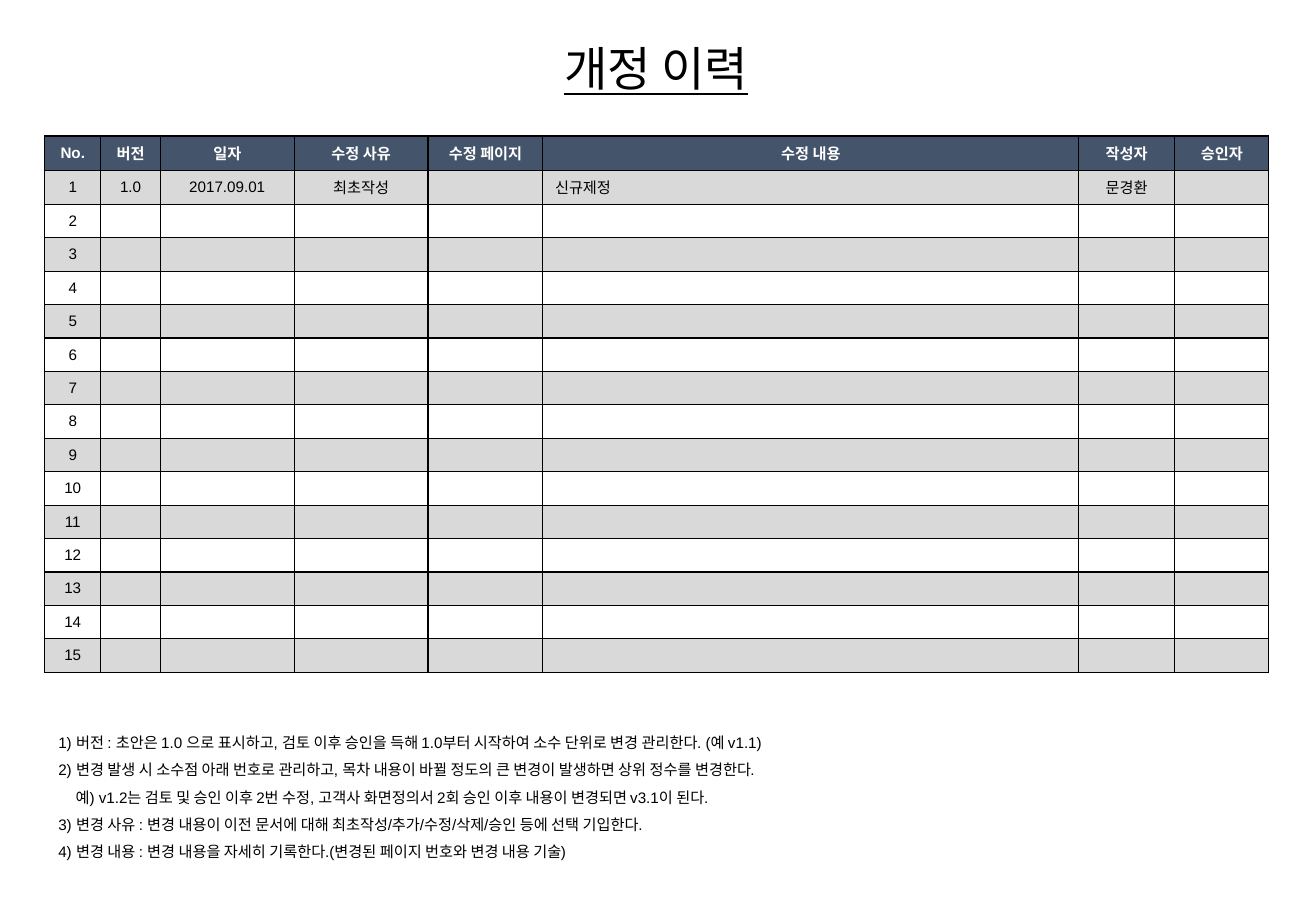
from lxml import etree
from pptx import Presentation
from pptx.dml.color import RGBColor
from pptx.enum.text import MSO_ANCHOR, MSO_AUTO_SIZE, PP_ALIGN
from pptx.oxml.ns import qn
from pptx.util import Cm, Pt

CENTER, LEFT = PP_ALIGN.CENTER, PP_ALIGN.LEFT
MIDDLE, TOP = MSO_ANCHOR.MIDDLE, MSO_ANCHOR.TOP
GROW = MSO_AUTO_SIZE.SHAPE_TO_FIT_TEXT

TITLE = "개정 이력"
COLUMNS = [
    ("No.", 1.18), ("버전", 1.24), ("일자", 2.8), ("수정 사유", 2.8),
    ("수정 페이지", 2.4), ("수정 내용", 11.2), ("작성자", 2.01), ("승인자", 1.97),
]
REVISIONS = [("1.0", "2017.09.01", "최초작성", "", "신규제정", "문경환", "")]
REVISION_ROWS = 15
CONTENT_COLUMN = 5
NOTES = [
    ("1) 버전 : 초안은 1.0 으로 표시하고, 검토 이후 승인을 득해 1.0부터 시작하여 소수 단위로 변경 관리한다. (예 v1.1)", 0),
    ("2) 변경 발생 시 소수점 아래 번호로 관리하고, 목차 내용이 바뀔 정도의 큰 변경이 발생하면 상위 정수를 변경한다.", 0),
    ("예) v1.2는 검토 및 승인 이후 2번 수정, 고객사 화면정의서 2회 승인 이후 내용이 변경되면 v3.1이 된다.", 0.36),
    ("3) 변경 사유 : 변경 내용이 이전 문서에 대해 최초작성/추가/수정/삭제/승인 등에 선택 기입한다.", 0),
    ("4) 변경 내용 : 변경 내용을 자세히 기록한다.(변경된 페이지 번호와 변경 내용 기술)", 0),
]
COLORS = {"text": "000000", "header": "44546A", "band": "D9D9D9", "plain": "FFFFFF"}
LATIN, KOREAN = "Arial", "Noto Sans CJK KR"
BODY_SIZE = 9
HEADER_HEIGHT, ROW_HEIGHT = 0.64, 0.7


def rgb(name):
    return RGBColor.from_string(COLORS[name])


def add_text(paragraph, text, size=BODY_SIZE, color="text", latin=LATIN, bold=False):
    run = paragraph.add_run()
    run.text = text
    run.font.size = Pt(size)
    run.font.name = latin
    run.font.bold = bold
    run.font.color.rgb = rgb(color)
    east_asian = etree.Element(qn("a:ea"), typeface=KOREAN)
    run.font._element.find(qn("a:latin")).addnext(east_asian)
    return run


def add_borders(cell, top_width):
    properties = cell._tc.get_or_add_tcPr()
    for side, width in (("L", 0.75), ("R", 0.75), ("T", top_width), ("B", 0.75)):
        line = etree.SubElement(properties, qn(f"a:ln{side}"), w=str(Pt(width)))
        fill = etree.SubElement(line, qn("a:solidFill"))
        etree.SubElement(fill, qn("a:srgbClr"), val=COLORS["text"])


def fill_cell(cell, text, fill, alignment=CENTER, header=False):
    add_borders(cell, 1 if header else 0.75)
    cell.fill.solid()
    cell.fill.fore_color.rgb = rgb(fill)
    cell.vertical_anchor = MIDDLE
    paragraph = cell.text_frame.paragraphs[0]
    paragraph.alignment = alignment
    if text:
        add_text(paragraph, text, color="plain" if header else "text", bold=header)
    else:
        etree.SubElement(paragraph._p, qn("a:endParaRPr"), sz=str(BODY_SIZE * 100))


def add_title(slide):
    box = slide.shapes.add_textbox(Cm(4.55), Cm(0.91), Cm(18.34), Cm(1.22))
    frame = box.text_frame
    frame.word_wrap = True
    frame.auto_size = GROW
    frame.vertical_anchor = TOP
    frame.margin_left = frame.margin_right = Cm(0.18)
    frame.margin_top = frame.margin_bottom = Cm(0.1)
    paragraph = frame.paragraphs[0]
    paragraph.alignment = CENTER
    paragraph.line_spacing = 0.85
    add_text(paragraph, TITLE, 28, latin=KOREAN).font.underline = True


def add_history(slide):
    width = sum(column_width for _, column_width in COLUMNS)
    height = HEADER_HEIGHT + REVISION_ROWS * ROW_HEIGHT
    table = slide.shapes.add_table(
        REVISION_ROWS + 1, len(COLUMNS), Cm(0.93), Cm(2.84), Cm(width), Cm(height)
    ).table
    table.first_row = table.horz_banding = False
    table.rows[0].height = Cm(HEADER_HEIGHT)
    for index, (heading, column_width) in enumerate(COLUMNS):
        table.columns[index].width = Cm(column_width)
        fill_cell(table.cell(0, index), heading, "header", header=True)
    for number in range(1, REVISION_ROWS + 1):
        table.rows[number].height = Cm(ROW_HEIGHT)
        recorded = number <= len(REVISIONS)
        details = REVISIONS[number - 1] if recorded else ("",) * (len(COLUMNS) - 1)
        fill = "band" if number % 2 else "plain"
        for index, text in enumerate((str(number), *details)):
            alignment = LEFT if index == CONTENT_COLUMN else CENTER
            fill_cell(table.cell(number, index), text, fill, alignment)


def add_notes(slide):
    box = slide.shapes.add_textbox(Cm(0.97), Cm(14.78), Cm(25.6), Cm(3.58))
    frame = box.text_frame
    frame.word_wrap = False
    frame.vertical_anchor = MIDDLE
    for index, (text, indent) in enumerate(NOTES):
        paragraph = frame.add_paragraph() if index else frame.paragraphs[0]
        paragraph.alignment = LEFT
        paragraph.line_spacing = 1.5
        if indent:
            paragraph._p.get_or_add_pPr().set("marL", str(Cm(indent)))
        add_text(paragraph, text)


def main():
    presentation = Presentation()
    presentation.slide_width = Cm(27.51)
    presentation.slide_height = Cm(19.05)
    slide = presentation.slides.add_slide(presentation.slide_layouts[6])
    add_history(slide)
    add_title(slide)
    add_notes(slide)
    presentation.save("out.pptx")


if __name__ == "__main__":
    main()
